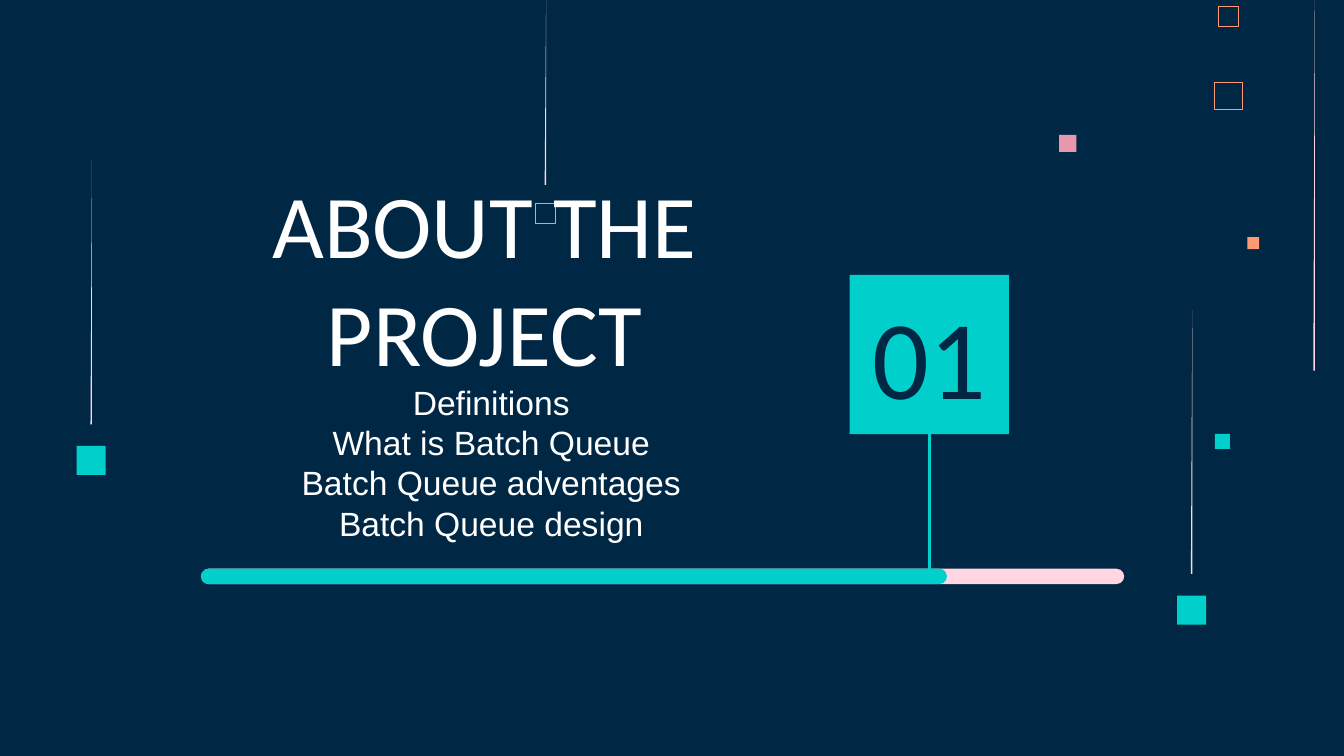
from lxml import etree
from pptx import Presentation
from pptx.dml.color import RGBColor
from pptx.enum.shapes import MSO_CONNECTOR, MSO_SHAPE
from pptx.enum.text import MSO_ANCHOR, PP_ALIGN
from pptx.oxml.ns import qn
from pptx.util import Pt

RECTANGLE = MSO_SHAPE.RECTANGLE
ROUNDED = MSO_SHAPE.ROUNDED_RECTANGLE
STRAIGHT = MSO_CONNECTOR.STRAIGHT
TOP, MIDDLE, BOTTOM = MSO_ANCHOR.TOP, MSO_ANCHOR.MIDDLE, MSO_ANCHOR.BOTTOM
CENTER = PP_ALIGN.CENTER
BOTTOM_SITE = 2
NAVY, TEAL, PINK = "002845", "00CFCC", "FFD6E1"
ROSE, ORANGE, WHITE = "E898AC", "FF9973", "FFFFFF"


def color(hex_string):
    """Turn a hex string into a colour."""
    return RGBColor.from_string(hex_string)


def paint(shape, fill=None, line=None, weight=0.5):
    """Give a shape its fill and outline, without a shadow."""
    shape.shadow.inherit = False
    if fill:
        shape.fill.solid()
        shape.fill.fore_color.rgb = color(fill)
    else:
        shape.fill.background()
    if line:
        shape.line.color.rgb = color(line)
        shape.line.width = Pt(weight)
    else:
        shape.line.fill.background()


def add_block(slide, box, kind=RECTANGLE, **style):
    """Add a preset shape in a box given in points."""
    shape = slide.shapes.add_shape(kind, *map(Pt, box))
    paint(shape, **style)
    return shape


def add_streak(slide, left, top, height):
    """Add a sliver that tapers to a point at its top."""
    right, bottom = left + 0.8, top + height
    builder = slide.shapes.build_freeform(Pt(right), Pt(top))
    builder.add_line_segments([(Pt(left), Pt(bottom)), (Pt(right), Pt(bottom))])
    paint(builder.convert_to_shape(), fill=PINK)


def add_pendant(slide, left, top, length, size, gap, **style):
    """Add a streak with a square hanging below it."""
    add_streak(slide, left + size / 2 - 0.4, top, length)
    add_block(slide, (left, top + length + gap, size, size), **style)


def add_text(slide, box, lines, font, size, hex_string, anchor, spacing=None):
    """Add centred text, one paragraph for each line."""
    frame = slide.shapes.add_textbox(*map(Pt, box)).text_frame
    frame.word_wrap = True
    frame.vertical_anchor = anchor
    frame.margin_left = frame.margin_right = Pt(7.2)
    frame.margin_top = frame.margin_bottom = Pt(7.2)
    frame.text = "\n".join(lines)
    for paragraph in frame.paragraphs:
        paragraph.alignment = CENTER
        paragraph.line_spacing = spacing
        paragraph.font.name = font
        paragraph.font.size = Pt(size)
        paragraph.font.color.rgb = color(hex_string)


def add_decoration(slide, width):
    """Scatter squares and streaks around the slide."""
    for left, top, size, fill in (
        (567.4, 72.2, 9.2, ROSE),
        (650.9, 232.5, 8, TEAL),
        (668.2, 127.1, 6.4, ORANGE),
    ):
        add_block(slide, (left, top, size, size), fill=fill)
    for top, size, weight in ((43.9, 15, 0.45), (3.4, 10.6, 0.32)):
        box = (658.1 - size / 2, top, size, size)
        add_block(slide, box, line=ORANGE, weight=weight)
    add_streak(slide, width - 16.4, 0, 198.5)
    add_pendant(slide, 286.9, 0, 99, 10.6, 9.9, line=ORANGE, weight=0.32)
    for left, top in ((630.6, 166.2), (41.1, 86)):
        add_pendant(slide, left, top, 141.3, 15.6, 11.6, fill=TEAL)


def add_heading(slide, left, top, width):
    """Add the section title and its list of topics."""
    add_text(slide, (left, top, width, 66.2), ["ABOUT THE PROJECT"],
             "Calibri", 48, WHITE, BOTTOM)
    topics = ["Definitions", "What is Batch Queue",
              "Batch Queue adventages", "Batch Queue design"]
    add_text(slide, (left + 7.2, top + 50.4, width - 7.2, 122.4), topics,
             "Arial", 18, WHITE, TOP)


def add_progress(slide, left, top, width, done):
    """Add the progress bar with the numbered flag above it."""
    height, side = 8.2, 85.4
    for length, fill in ((width, PINK), (done, TEAL)):
        bar = add_block(slide, (left, top, length, height), ROUNDED, fill=fill)
        bar.adjustments[0] = 0.5
    flag_left, flag_top = left + 347.4, top - 157.5
    flag = add_block(slide, (flag_left, flag_top, side, side), fill=TEAL)
    add_text(slide, (flag_left + 4.2, flag_top + 20, side - 8.4, 45.4), ["01"],
             "Calibri", 60, NAVY, MIDDLE)
    middle = Pt(flag_left + side / 2)
    pole = slide.shapes.add_connector(
        STRAIGHT, middle, Pt(flag_top + side), middle, Pt(top + height / 2))
    pole.begin_connect(flag, BOTTOM_SITE)
    pole.line.color.rgb = color(TEAL)
    pole.line.width = Pt(1.5)
    etree.SubElement(pole._element.spPr, qn("a:effectLst"))


def main():
    """Build and save the section slide."""
    presentation = Presentation()
    presentation.slide_width, presentation.slide_height = Pt(720), Pt(405)
    slide = presentation.slides.add_slide(presentation.slide_layouts[6])
    slide.background.fill.solid()
    slide.background.fill.fore_color.rgb = color(NAVY)
    add_decoration(slide, 720)
    add_heading(slide, 133.9, 146.9, 251.3)
    add_progress(slide, 107.7, 304.7, 494.6, 399.6)
    presentation.save("out.pptx")


if __name__ == "__main__":
    main()
